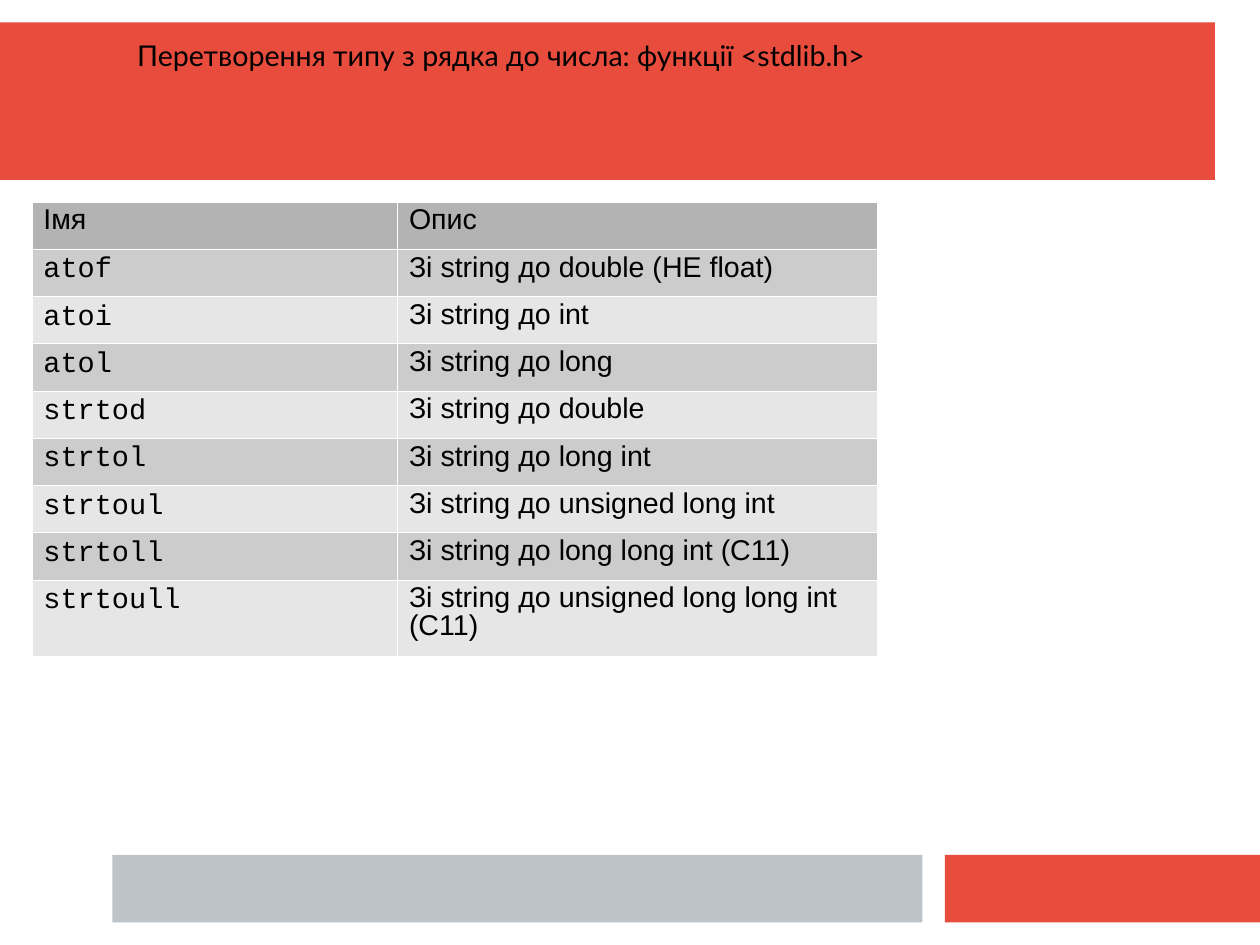
from lxml import etree
from pptx import Presentation
from pptx.dml.color import RGBColor
from pptx.enum.shapes import MSO_SHAPE
from pptx.oxml.ns import qn
from pptx.util import Cm, Pt

RECT = MSO_SHAPE.RECTANGLE
RED, GREY, WHITE, BLACK = "E74C3C", "BDC3C7", "FFFFFF", "000000"
HEAD, DARK, LIGHT = "B3B3B3", "CCCCCC", "E6E6E6"


def paint(fill, tone):
    fill.solid()
    fill.fore_color.rgb = RGBColor.from_string(tone)


def write(frame, text, face, gap):
    frame.word_wrap = True
    para = frame.paragraphs[0]
    para.line_spacing = gap
    run = para.add_run()
    run.text = text
    look = {"name": face, "size": Pt(18), "bold": False}
    for key, value in look.items():
        setattr(run.font, key, value)
    paint(run.font.fill, BLACK)


deck = Presentation()
deck.slide_width, deck.slide_height = Cm(28), Cm(21)
unit = deck.slide_width / 56
slide = deck.slides.add_slide(deck.slide_layouts[6])

bars = [
    (0, 1, 54, 7, RED),
    (42, 38, 14, 3, RED),
    (5, 38, 36, 3, GREY),
]
for *spot, tone in bars:
    bar = slide.shapes.add_shape(RECT, *[int(n * unit) for n in spot])
    bar.shadow.inherit = False
    bar.line.fill.background()
    paint(bar.fill, tone)

rows = [
    ("Імя", "Опис"),
    ("atof", "Зі string до double (НЕ float)"),
    ("atoi", "Зі string до int"),
    ("atol", "Зі string до long"),
    ("strtod", "Зі string до double"),
    ("strtol", "Зі string до long int"),
    ("strtoul", "Зі string до unsigned long int"),
    ("strtoll", "Зі string до long long int (С11)"),
    ("strtoull", "Зі string до unsigned long long int (С11)"),
]
wide = [16.25, 21.3]
high = [2.1] * 8 + [3.4]
spot = [1.42, 8.97, sum(wide), sum(high)]
table = slide.shapes.add_table(
    len(rows), len(wide), *[int(n * unit) for n in spot]
).table
table.first_row = table.horz_banding = False
for col, size in zip(table.columns, wide):
    col.width = int(size * unit)
for row, size in zip(table.rows, high):
    row.height = int(size * unit)

for r, row in enumerate(rows):
    tone = HEAD if r == 0 else DARK if r % 2 else LIGHT
    for c, text in enumerate(row):
        cell = table.cell(r, c)
        code = r > 0 and c == 0
        face, gap = ("Courier New", 0.89) if code else ("Arial", 0.87)
        write(cell.text_frame, text, face, gap)
        props = cell._tc.get_or_add_tcPr()
        for side in ("a:lnL", "a:lnR", "a:lnT", "a:lnB"):
            edge = etree.SubElement(props, qn(side), w="720")
            fill = etree.SubElement(edge, qn("a:solidFill"))
            etree.SubElement(fill, qn("a:srgbClr"), val=WHITE)
        paint(cell.fill, tone)

spot = [5.6, 1.5, 43.2, 3.5]
title = slide.shapes.add_textbox(*[int(n * unit) for n in spot])
write(
    title.text_frame,
    "Перетворення типу з рядка до числа: функції <stdlib.h>",
    "Lato",
    0.98,
)

deck.save("out.pptx")
